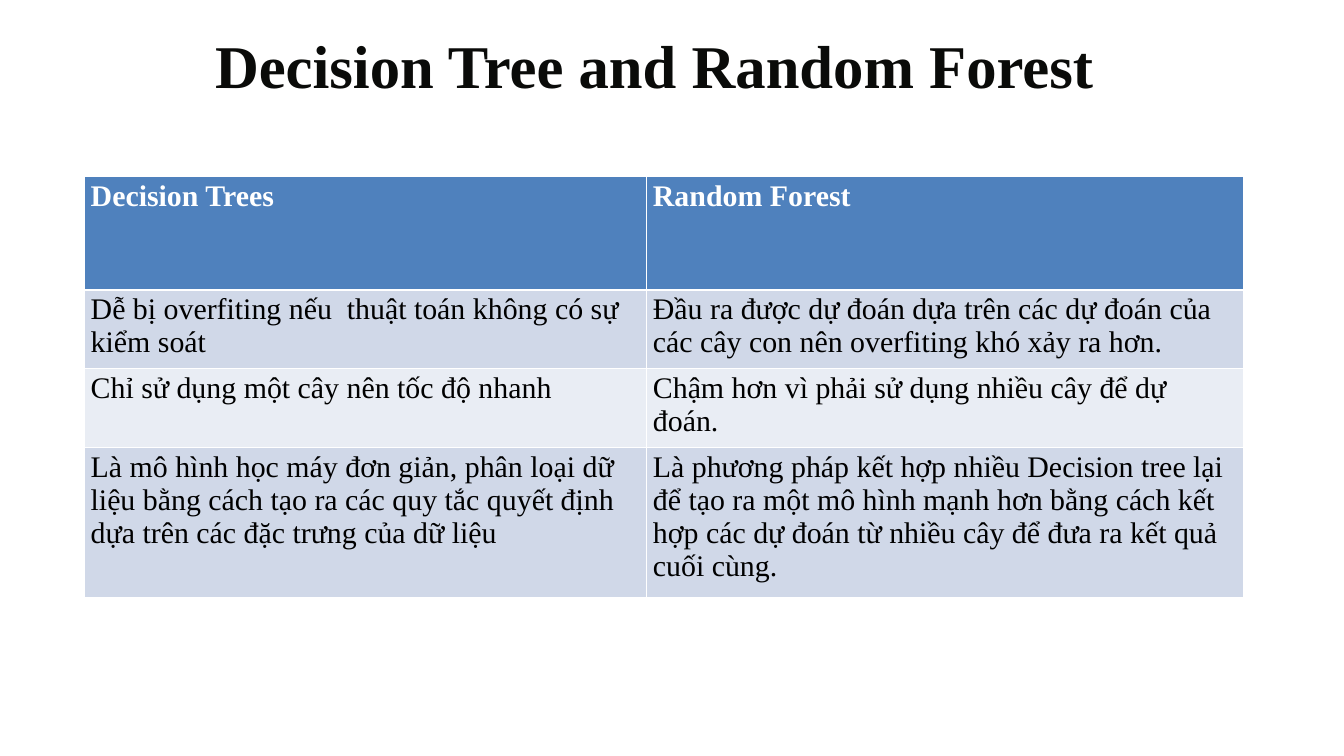
from lxml import etree
from pptx import Presentation
from pptx.dml.color import RGBColor
from pptx.enum.text import MSO_ANCHOR, MSO_AUTO_SIZE, PP_ALIGN
from pptx.oxml.ns import qn
from pptx.util import Pt

TOP = MSO_ANCHOR.TOP
NO_FIT = MSO_AUTO_SIZE.NONE
LEFT = PP_ALIGN.LEFT

FONT = "Times New Roman"
COLORS = {
    "title": "0A0B09",
    "header": "4F81BD",
    "header_text": "FFFFFF",
    "band_dark": "D0D8E8",
    "band_light": "E9EDF4",
    "text": "000000",
    "border": "FFFFFF",
}
TITLE = "Decision Tree and Random Forest"
COMPARISON = [
    ("Decision Trees", "Random Forest"),
    ("Dễ bị overfiting nếu  thuật toán không có sự kiểm soát",
     "Đầu ra được dự đoán dựa trên các dự đoán của các cây con nên overfiting khó xảy ra hơn."),
    ("Chỉ sử dụng một cây nên tốc độ nhanh",
     "Chậm hơn vì phải sử dụng nhiều cây để dự đoán."),
    ("Là mô hình học máy đơn giản, phân loại dữ liệu bằng cách tạo ra các quy tắc "
     "quyết định dựa trên các đặc trưng của dữ liệu",
     "Là phương pháp kết hợp nhiều Decision tree lại để tạo ra một mô hình mạnh hơn "
     "bằng cách kết hợp các dự đoán từ nhiều cây để đưa ra kết quả cuối cùng."),
]
COL_SHARES = (0.485, 0.515)
ROW_SHARES = (0.27, 0.187, 0.187, 0.356)


def style_text(p, size, color, bold):
    p.alignment = LEFT
    for r in p.runs:
        r.font.name = FONT
        r.font.size = Pt(size)
        r.font.bold = bold
        r.font.color.rgb = RGBColor.from_string(COLORS[color])


def set_borders(cell, widths):
    """Draw the cell's borders; widths maps an edge (L, R, T, B) to points."""
    tc_pr = cell._tc.get_or_add_tcPr()
    for i, (edge, width) in enumerate(widths.items()):
        ln = etree.Element(qn(f"a:ln{edge}"), w=str(Pt(width)))
        fill = etree.SubElement(ln, qn("a:solidFill"))
        etree.SubElement(fill, qn("a:srgbClr"), val=COLORS["border"])
        tc_pr.insert(i, ln)


def add_title(slide, x, y, w, h):
    sp = slide.shapes.title
    sp.left, sp.top, sp.width, sp.height = Pt(x), Pt(y), Pt(w), Pt(h)
    tf = sp.text_frame
    tf.text = TITLE
    tf.word_wrap = True
    tf.auto_size = NO_FIT
    tf.vertical_anchor = TOP
    tf.margin_left = tf.margin_right = tf.margin_top = tf.margin_bottom = 0
    style_text(tf.paragraphs[0], 65, "title", True)


def add_comparison(slide, x, y, w, h):
    table = slide.shapes.add_table(
        len(COMPARISON), len(COL_SHARES), Pt(x), Pt(y), Pt(w), Pt(h)).table
    for col, share in zip(table.columns, COL_SHARES):
        col.width = Pt(w * share)
    for row, share in zip(table.rows, ROW_SHARES):
        row.height = Pt(h * share)
    for i, texts in enumerate(COMPARISON):
        is_header = i == 0
        fill = "header" if is_header else "band_dark" if i % 2 else "band_light"
        for j, text in enumerate(texts):
            cell = table.cell(i, j)
            cell.text = text
            cell.fill.solid()
            cell.fill.fore_color.rgb = RGBColor.from_string(COLORS[fill])
            style_text(cell.text_frame.paragraphs[0], 32,
                       "header_text" if is_header else "text", is_header)
            set_borders(cell, {"L": 1, "R": 1, "T": 3 if i == 1 else 1,
                               "B": 3 if is_header else 1})


def main():
    prs = Presentation()
    prs.slide_width, prs.slide_height = Pt(1440), Pt(810)
    slide = prs.slides.add_slide(prs.slide_layouts[5])
    add_title(slide, 230.4, 30.2, 1131.8, 78.5)
    add_comparison(slide, 90, 188.6, 1242, 451.4)
    prs.save("out.pptx")


if __name__ == "__main__":
    main()
